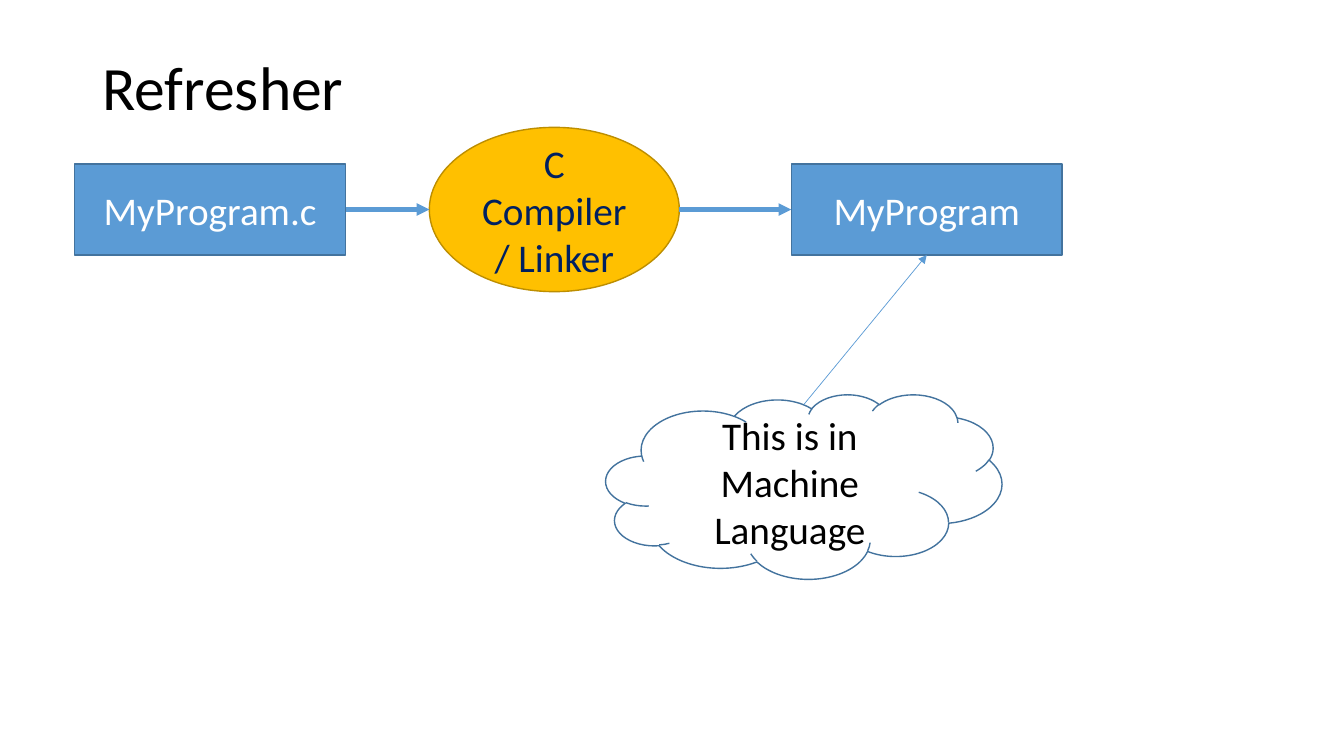
from lxml import etree
from pptx import Presentation
from pptx.dml.color import RGBColor
from pptx.enum.shapes import MSO_CONNECTOR, MSO_SHAPE
from pptx.enum.text import MSO_ANCHOR, PP_ALIGN
from pptx.oxml.ns import qn
from pptx.util import Cm, Pt

RECT, OVAL, CLOUD = MSO_SHAPE.RECTANGLE, MSO_SHAPE.OVAL, MSO_SHAPE.CLOUD
STRAIGHT = MSO_CONNECTOR.STRAIGHT
MIDDLE = MSO_ANCHOR.MIDDLE
LEFT, CENTER = PP_ALIGN.LEFT, PP_ALIGN.CENTER
BOTTOM_SIDE, LEFT_SIDE, RIGHT_SIDE = 2, 1, 3

FONT = "Calibri"
BLUE, EDGE = "5B9BD5", "43739E"
TITLE = "Refresher"
MID = 5.28  # centre height of the compile chain, cm

# name: (text, shape, left, centre y, width, height, fill, edge, ink)
NODES = {
    "source": ("MyProgram.c", RECT, 1.88, MID, 6.83, 2.29, BLUE, EDGE, "FFFFFF"),
    "tool": ("C Compiler/ Linker", OVAL, 10.82, MID, 6.3, 4.14, "FFC000", "BD8E00", "002060"),
    "result": ("MyProgram", RECT, 19.94, MID, 6.83, 2.29, BLUE, EDGE, "FFFFFF"),
    "note": ("This is in Machine Language", CLOUD, 15.27, 12.26, 9.98, 4.65, None, EDGE, "000000"),
}


def color(text):
    return RGBColor.from_string(text)


def write(shape, text, size=28, ink="000000", align=CENTER, spacing=1.0):
    frame = shape.text_frame
    frame.word_wrap = True
    frame.vertical_anchor = MIDDLE
    par = frame.paragraphs[0]
    par.alignment = align
    par.line_spacing = spacing
    run = par.add_run()
    run.text = text
    run.font.name = FONT
    run.font.size = Pt(size)
    run.font.color.rgb = color(ink)


def add_node(slide, text, kind, left, mid, width, height, fill, edge, ink):
    node = slide.shapes.add_shape(
        kind, Cm(left), Cm(mid - height / 2), Cm(width), Cm(height))
    node.shadow.inherit = False
    if fill:
        node.fill.solid()
        node.fill.fore_color.rgb = color(fill)
    else:
        node.fill.background()
    node.line.color.rgb = color(edge)
    node.line.width = Pt(1)
    write(node, text, ink=ink)
    return node


def add_arrow(slide, start, end, width):
    arrow = slide.shapes.add_connector(STRAIGHT, *start, *end)
    arrow.line.color.rgb = color(BLUE)
    arrow.line.width = Pt(width)
    etree.SubElement(arrow.line._get_or_add_ln(), qn("a:tailEnd"), type="triangle")
    etree.SubElement(arrow._element.spPr, qn("a:effectLst"))
    return arrow


def main():
    deck = Presentation()
    deck.slide_width, deck.slide_height = Cm(33.87), Cm(19.05)
    slide = deck.slides.add_slide(deck.slide_layouts[6])

    title = slide.shapes.add_textbox(Cm(2.33), Cm(1.01), Cm(29.21), Cm(2.54))
    write(title, TITLE, size=44, align=LEFT, spacing=0.9)

    nodes = {name: add_node(slide, *node) for name, node in NODES.items()}
    source, tool, result, note = nodes.values()

    mid = Cm(MID)
    feed = add_arrow(slide, (source.left + source.width, mid), (tool.left, mid), 3)
    feed.begin_connect(source, RIGHT_SIDE)
    build = add_arrow(slide, (tool.left + tool.width, mid), (result.left, mid), 3)
    build.end_connect(result, LEFT_SIDE)
    tip = (result.left + result.width // 2, result.top + result.height)
    hint = add_arrow(slide, (note.left + note.width // 2, Cm(10.19)), tip, 0.5)
    hint.end_connect(result, BOTTOM_SIDE)

    deck.save("out.pptx")


if __name__ == "__main__":
    main()
